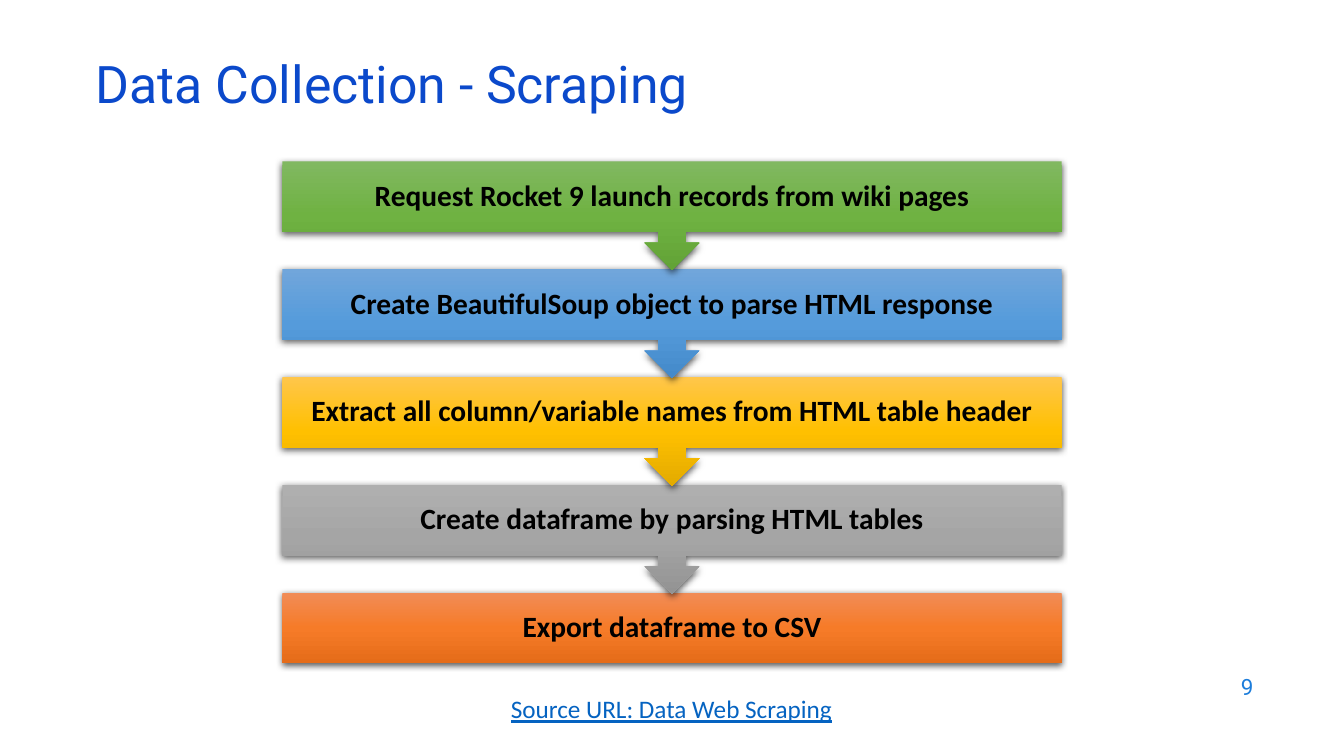
from lxml.etree import SubElement
from pptx import Presentation
from pptx.dml.color import RGBColor
from pptx.enum.shapes import MSO_SHAPE as Shape
from pptx.enum.text import MSO_ANCHOR as Anchor, PP_ALIGN as Align
from pptx.oxml.ns import qn
from pptx.util import Inches, Pt

# Steps in reading order: text and gradient from top to bottom
STEPS = [
    ("Request Rocket 9 launch records from wiki pages", ("81B861", "6FB242", "62A336")),
    ("Create BeautifulSoup object to parse HTML response", ("71A6DB", "559BDB", "448ACA")),
    ("Extract all column/variable names from HTML table header", ("FFC64B", "FFC000", "E3AB00")),
    ("Create dataframe by parsing HTML tables", ("AFAFAF", "A5A5A5", "939393")),
    ("Export dataframe to CSV", ("F18C57", "F67B28", "E56C19")),
]
STEP_LEFT, STEP_TOP, STEP_WIDTH = 2.8, 1.6, 7.73
STEP_PITCH, BOX_HEIGHT, CALLOUT_HEIGHT = 1.07, 0.7, 1.08


def color(hex_code):
    return RGBColor.from_string(hex_code)


class FlowSlide:
    heading_font, body_font = "Roboto", "Calibri"

    def __init__(self, presentation):
        self.slide = presentation.slides.add_slide(presentation.slide_layouts[5])

    def set_text(self, shape, text, size, hex_code, font=body_font,
                 align=Align.LEFT, anchor=Anchor.MIDDLE, spacing=1.0):
        frame = shape.text_frame
        frame.word_wrap = True
        frame.vertical_anchor = anchor
        frame.text = text
        paragraph = frame.paragraphs[0]
        paragraph.alignment = align
        paragraph.line_spacing = spacing
        paragraph.font.name = font
        paragraph.font.size = Pt(size)
        paragraph.font.color.rgb = color(hex_code)
        return paragraph

    def title(self, text, left, top, width, height):
        title = self.slide.shapes.title
        title.left, title.top = Inches(left), Inches(top)
        title.width, title.height = Inches(width), Inches(height)
        self.set_text(title, text, 37, "0B49CB", self.heading_font, spacing=0.7)

    def label(self, text, left, top, width, height, size, hex_code, **style):
        box = self.slide.shapes.add_textbox(
            Inches(left), Inches(top), Inches(width), Inches(height))
        return self.set_text(box, text, size, hex_code, **style)

    def step(self, text, shades, top, is_last):
        kind = Shape.RECTANGLE if is_last else Shape.DOWN_ARROW_CALLOUT
        height = BOX_HEIGHT if is_last else CALLOUT_HEIGHT
        step = self.slide.shapes.add_shape(
            kind, Inches(STEP_LEFT), Inches(top), Inches(STEP_WIDTH), Inches(height))
        step.line.fill.background()
        self.gradient(step, shades)
        self.shadow(step)
        frame = step.text_frame
        frame.margin_left = frame.margin_right = Inches(0.16)
        frame.margin_top = frame.margin_bottom = Inches(0.16)
        paragraph = self.set_text(step, text, 21, "000000", align=Align.CENTER, spacing=0.9)
        paragraph.font.bold = True

    def gradient(self, shape, shades):
        shape.fill.gradient()
        shape.fill.gradient_angle = 270
        stops = shape._element.spPr.find(qn("a:gradFill")).find(qn("a:gsLst"))
        for stop in list(stops):
            stops.remove(stop)
        for position, shade in zip((0, 50000, 100000), shades):
            stop = SubElement(stops, qn("a:gs"), pos=str(position))
            SubElement(stop, qn("a:srgbClr"), val=shade)

    def shadow(self, shape):
        shape.shadow.inherit = False
        effects = shape._element.spPr.find(qn("a:effectLst"))
        outer = SubElement(effects, qn("a:outerShdw"), blurRad=str(Pt(4.5)),
                           dist=str(Pt(1.5)), dir="5400000", algn="ctr", rotWithShape="0")
        black = SubElement(outer, qn("a:srgbClr"), val="000000")
        SubElement(black, qn("a:alpha"), val="63000")


def main():
    presentation = Presentation()
    presentation.slide_width, presentation.slide_height = Inches(13.33), Inches(7.5)
    page = FlowSlide(presentation)

    # Title and slide number
    page.title("Data Collection - Scraping", 0.85, 0.6, 11.5, 0.6)
    page.label("9", 9.53, 6.59, 3, 0.44, 16, "1C7DDB",
               font=page.heading_font, align=Align.RIGHT)

    # Steps from the bottom up, so each arrow tip lies over the next box
    last = len(STEPS) - 1
    for index, (text, shades) in reversed(list(enumerate(STEPS))):
        page.step(text, shades, STEP_TOP + index * STEP_PITCH, index == last)

    # Source link
    source_link = page.label("Source URL: Data Web Scraping", 4.89, 6.83, 3.54, 0.4,
                             18, "0563C1", align=Align.CENTER, anchor=Anchor.TOP)
    source_link.font.underline = True

    presentation.save("out.pptx")


if __name__ == "__main__":
    main()
